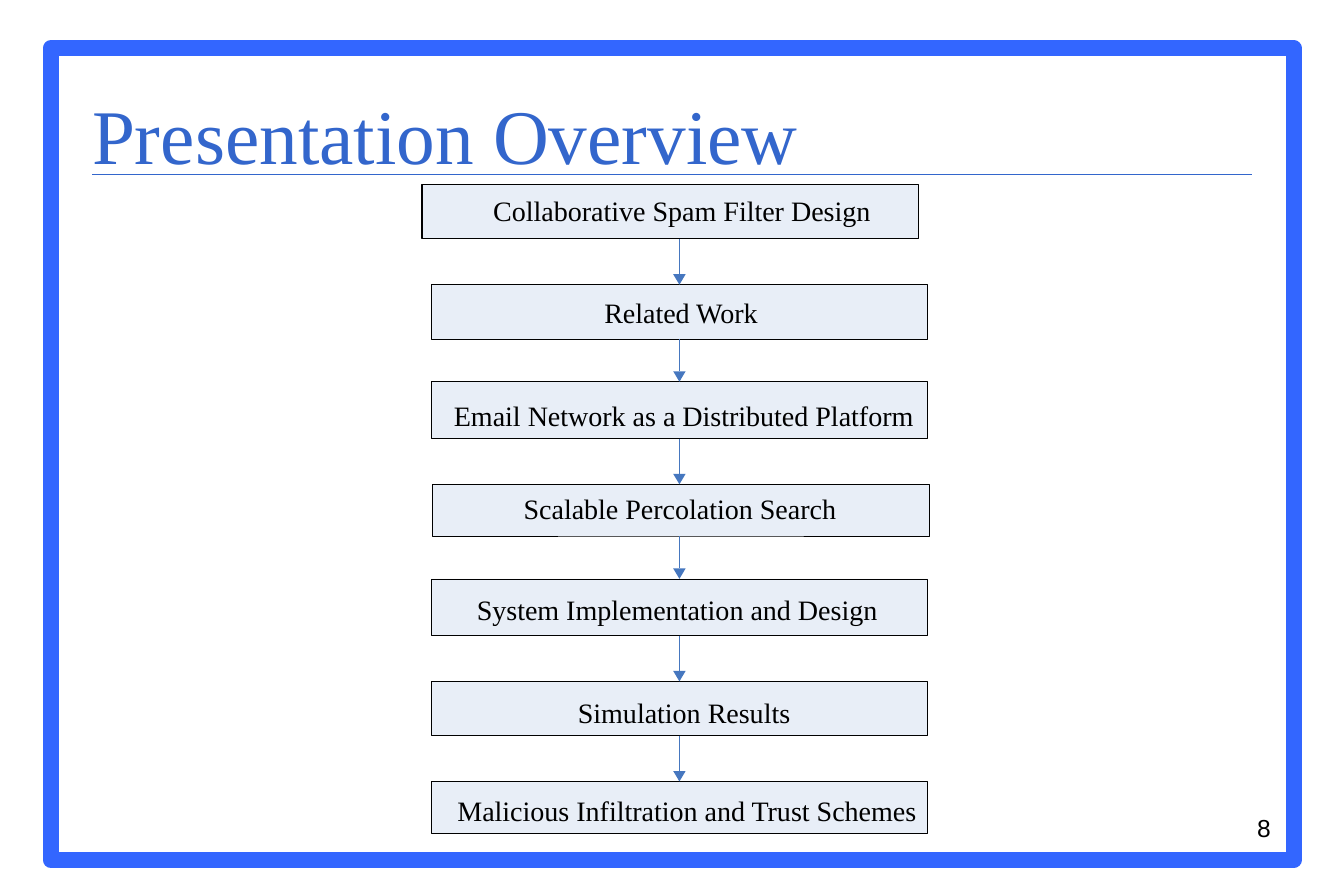
from pptx import Presentation
from pptx.dml.color import RGBColor
from pptx.enum.shapes import MSO_CONNECTOR as Link, MSO_SHAPE as Kind
from pptx.enum.text import MSO_ANCHOR as Anchor, PP_ALIGN as Align
from pptx.oxml.ns import qn
from pptx.util import Cm, Pt

# Content: step, box left, top, height, text indent, text drop (cm)
TITLE = "Presentation Overview"
PAGE = "8"
STEPS = [
    ("Collaborative Spam Filter Design", 8.48, 3.71, 1.09, 1.43, 0.18),
    ("Related Work", 8.66, 5.72, 1.09, 3.48, 0.22),
    ("Email Network as a Distributed Platform", 8.66, 7.67, 1.14, 0.46, 0.33),
    ("Scalable Percolation Search", 8.69, 9.73, 1.04, 1.83, 0.15),
    ("System Implementation and Design", 8.66, 11.63, 1.14, 0.92, 0.28),
    ("Simulation Results", 8.66, 13.69, 1.09, 2.95, 0.28),
    ("Malicious Infiltration and Trust Schemes", 8.66, 15.7, 1.04, 0.53, 0.25),
]
WIDE = 9.98
MID = 13.65
HEAD_W, HEAD_H = 0.25, 0.21
SERIF, SANS = "Times New Roman", "Arial"
BLUE, FRAME, ARROW = "3366CC", "3366FF", "4677BF"
PALE, BLACK = "E8EEF7", "000000"

deck = Presentation()
deck.slide_width, deck.slide_height = Cm(27), Cm(18)
slide = deck.slides.add_slide(deck.slide_layouts[6])
shapes = slide.shapes


def color(code):
    return RGBColor.from_string(code)


def paint(shape, fill=None, line=None, width=0):
    shape.shadow.inherit = False
    if fill:
        shape.fill.solid()
        shape.fill.fore_color.rgb = color(fill)
    else:
        shape.fill.background()
    if line:
        shape.line.color.rgb = color(line)
        shape.line.width = Pt(width)
    else:
        shape.line.fill.background()


def box(x, y, w, h, fill, line, width):
    shape = shapes.add_shape(Kind.RECTANGLE, Cm(x), Cm(y), Cm(w), Cm(h))
    paint(shape, fill, line, width)
    return shape


def rule(x1, y1, x2, y2, code, width):
    line = shapes.add_connector(Link.STRAIGHT, Cm(x1), Cm(y1), Cm(x2), Cm(y2))
    line.line.color.rgb = color(code)
    line.line.width = Pt(width)
    props = line._element.spPr
    props.append(props.makeelement(qn("a:effectLst"), {}))


def write(shape, text, size, font, code, pad=(0, 0, 0, 0),
          align=Align.LEFT, anchor=Anchor.TOP):
    frame = shape.text_frame
    frame.word_wrap = True
    frame.vertical_anchor = anchor
    (frame.margin_left, frame.margin_top,
     frame.margin_right, frame.margin_bottom) = map(Cm, pad)
    para = frame.paragraphs[0]
    para.alignment = align
    run = para.add_run()
    run.text = text
    run.font.size = Pt(size)
    run.font.name = font
    run.font.color.rgb = color(code)
    return para


def arrow(top, tip):
    neck = tip - HEAD_H
    rule(MID, top, MID, neck, ARROW, 0.37)
    half = HEAD_W / 2
    pen = shapes.build_freeform(Cm(MID + half), Cm(neck))
    pen.add_line_segments([(Cm(MID), Cm(tip)), (Cm(MID - half), Cm(neck))])
    paint(pen.convert_to_shape(), ARROW)


# Frame, page number and title
box(1.02, 0.97, 24.97, 16.31, None, FRAME, 9)
page = shapes.add_textbox(Cm(19.86), Cm(16.21), Cm(5.92), Cm(1.32))
write(page, PAGE, 14, SANS, BLACK, (0.25, 0.13, 0.25, 0.13), Align.RIGHT)
rule(1.85, 3.51, 25.15, 3.51, BLUE, 0.75)
title = shapes.add_textbox(Cm(1.85), Cm(1.17), Cm(23.06), Cm(3))
para = write(title, TITLE, 44, SERIF, BLUE, anchor=Anchor.MIDDLE)
para.line_spacing = 1.02

# Steps: the first box has the heavier outline
for i, (text, x, y, h, indent, drop) in enumerate(STEPS):
    step = box(x, y, WIDE, h, PALE, BLACK, 0.37 if i else 0.75)
    write(step, text, 16, SERIF, BLACK, (indent, drop, 0, 0))

# Arrows from each step to the next
for (_, _, y, h, _, _), after in zip(STEPS, STEPS[1:]):
    arrow(y + h, after[2])

deck.save("out.pptx")
